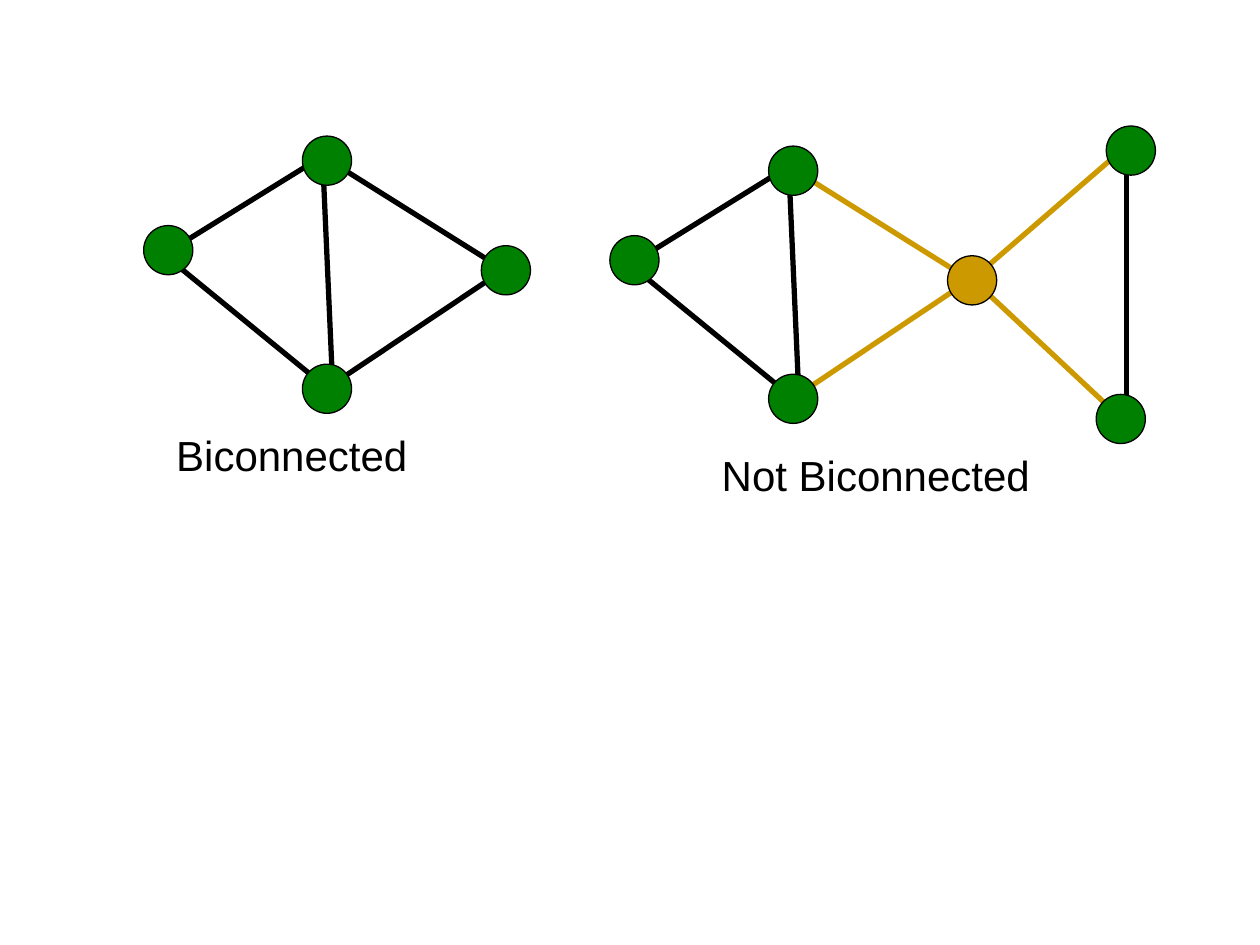
from typing import NamedTuple

from pptx import Presentation
from pptx.dml.color import RGBColor
from pptx.enum import shapes, text
from pptx.oxml import ns, xmlchemy
from pptx.util import Inches, Pt

BLACK, GREEN, GOLD = "000000", "008000", "CC9900"
NODE_SIZE = 0.39


class Edge(NamedTuple):
    x1: float
    y1: float
    x2: float
    y2: float
    color: str = BLACK


class Node(NamedTuple):
    left: float
    top: float
    color: str = GREEN


def rgb(color: str) -> RGBColor:
    return RGBColor.from_string(color)


def draw_edge(slide, edge: Edge, dx: float = 0, dy: float = 0) -> None:
    line = slide.shapes.add_connector(
        shapes.MSO_CONNECTOR.STRAIGHT,
        Inches(edge.x1 + dx), Inches(edge.y1 + dy),
        Inches(edge.x2 + dx), Inches(edge.y2 + dy))
    line.line.color.rgb = rgb(edge.color)
    line.line.width = Pt(3)
    line._element.spPr.append(xmlchemy.OxmlElement("a:effectLst"))


def draw_node(slide, node: Node, dx: float = 0, dy: float = 0) -> None:
    circle = slide.shapes.add_shape(
        shapes.MSO_SHAPE.OVAL, Inches(node.left + dx), Inches(node.top + dy),
        Inches(NODE_SIZE), Inches(NODE_SIZE))
    circle.shadow.inherit = False
    circle.fill.solid()
    circle.fill.fore_color.rgb = rgb(node.color)
    circle.line.color.rgb = rgb(BLACK)
    circle.line.width = Pt(0.75)


def draw_diamond(slide, right_edges: str, right_node: str,
                 dx: float = 0, dy: float = 0) -> None:
    edges = [
        Edge(2.56, 1.24, 2.64, 3.05),
        Edge(1.3, 2.02, 2.56, 1.24),
        Edge(1.3, 2.02, 2.56, 3.05),
        Edge(2.64, 3.05, 4.06, 2.1, right_edges),
        Edge(4.06, 2.18, 2.56, 1.24, right_edges),
    ]
    nodes = [Node(1.14, 1.79), Node(2.4, 1.08), Node(2.4, 2.89),
             Node(3.82, 1.95, right_node)]
    for edge in edges:
        draw_edge(slide, edge, dx, dy)
    for node in nodes:
        draw_node(slide, node, dx, dy)


def add_label(slide, words: str, *, left: float, top: float, width: float,
              height: float = 0.5, size: float = 24, font: str = "Arial",
              color: str = BLACK) -> None:
    label = slide.shapes.add_textbox(
        Inches(left), Inches(top), Inches(width), Inches(height))
    frame = label.text_frame
    frame.word_wrap = True
    frame.auto_size = text.MSO_AUTO_SIZE.SHAPE_TO_FIT_TEXT
    run = frame.paragraphs[0].add_run()
    run.text = words
    run.font.name = font
    run.font.size = Pt(size)
    run.font.color.rgb = rgb(color)


def main() -> None:
    deck = Presentation()
    deck.slide_width, deck.slide_height = Inches(10), Inches(7.5)
    slide = deck.slides.add_slide(deck.slide_layouts[6])

    triangle_edges = [
        Edge(7.68, 2.18, 8.94, 3.36, GOLD),
        Edge(8.94, 1.16, 8.94, 3.36),
        Edge(7.76, 2.18, 8.94, 1.16, GOLD),
    ]
    for edge in triangle_edges:
        draw_edge(slide, edge)
    draw_diamond(slide, BLACK, GREEN)
    draw_diamond(slide, GOLD, GOLD, dx=3.7, dy=0.08)
    for node in (Node(8.78, 1), Node(8.7, 3.13)):
        draw_node(slide, node)

    add_label(slide, "Biconnected", left=1.3, top=3.36, width=3.15)
    add_label(slide, "Not Biconnected", left=5.63, top=3.52, width=3.7)
    deck.save("out.pptx")


if __name__ == "__main__":
    main()
